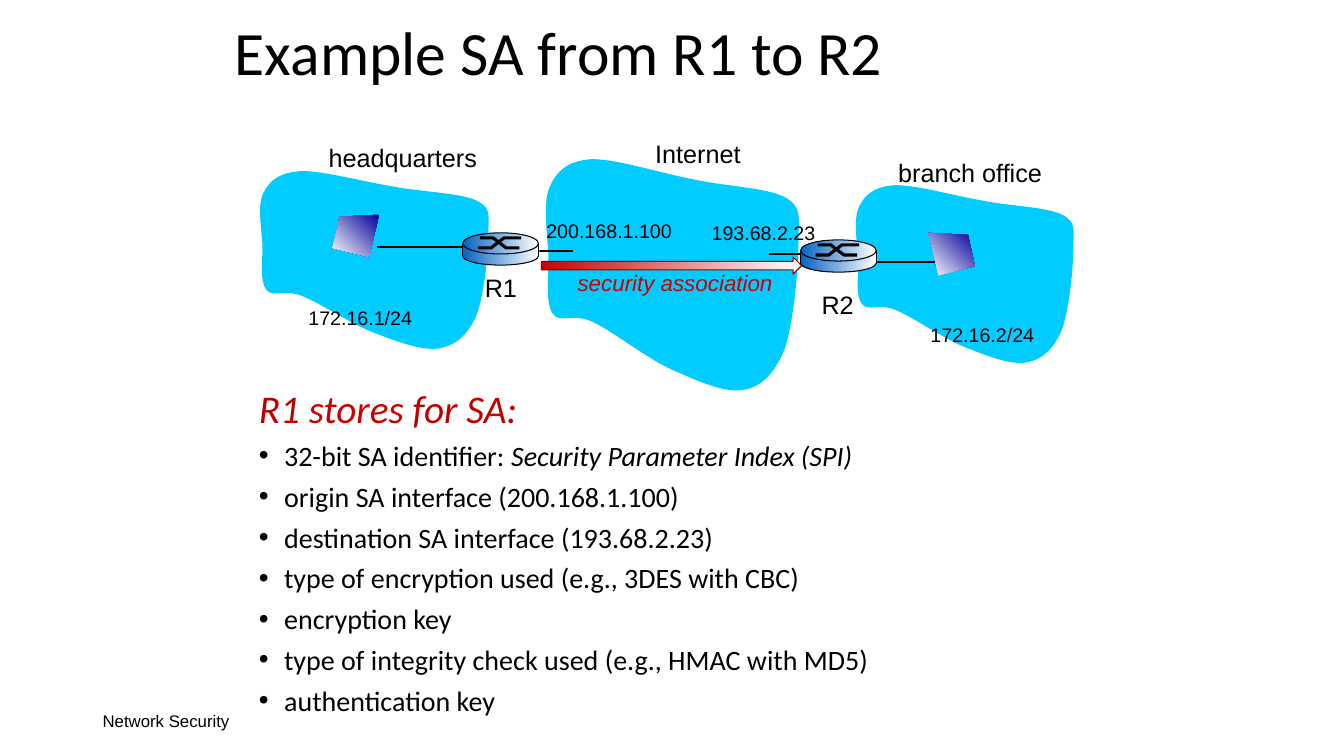
"""Build the slide on the security association between routers R1 and R2."""
from lxml import etree
from pptx import Presentation
from pptx.dml.color import RGBColor
from pptx.enum import shapes, text
from pptx.oxml import ns
from pptx.util import Inches, Pt

BLACK = RGBColor(0, 0, 0)
WHITE = RGBColor(255, 255, 255)
CRIMSON = RGBColor(0xC0, 0, 0)
RED = RGBColor(0xCC, 0, 0)
MAROON = RGBColor(0x80, 0, 0)
SKY = RGBColor(0, 0xCC, 0xFF)
NAVY = RGBColor(0, 0, 0x99)
BLUE = RGBColor(0x05, 0x63, 0xC1)

TITLE = "Example SA from R1 to R2"
FOOTER = "Network Security"
HEADING = [("R1 ", CRIMSON, True), ("stores ", RED, True), ("for SA:", CRIMSON, True)]
STORED = [
    [("32-bit SA identifier: ", BLACK, False), ("Security Parameter Index (SPI)", BLACK, True)],
    [("origin SA interface (200.168.1.100)", BLACK, False)],
    [("destination SA interface (193.68.2.23)", BLACK, False)],
    [("type of encryption used (e.g., 3DES with CBC)", BLACK, False)],
    [("encryption key", BLACK, False)],
    [("type of integrity check used (e.g., HMAC with MD5)", BLACK, False)],
    [("authentication key", BLACK, False)],
]
LABELS = [
    ("193.68.2.23", 14, (6.96, 2.14, 1.26, 0.33)),
    ("200.168.1.100", 14, (5.32, 2.12, 1.46, 0.34)),
    ("172.16.1/24", 14, (2.96, 2.99, 1.25, 0.33)),
    ("172.16.2/24", 14, (9.13, 3.15, 1.28, 0.33)),
    ("Internet", 18, (6.4, 1.32, 1.05, 0.4)),
    ("headquarters", 18, (3.16, 1.36, 1.72, 0.4)),
    ("branch office", 18, (8.81, 1.51, 1.67, 0.4)),
    ("R1", 18, (4.71, 2.65, 0.52, 0.4)),
    ("R2", 18, (8.05, 2.82, 0.52, 0.4)),
]
CLOUDS = [(8.46, 1.83, 2.22, 1.79), (2.55, 1.69, 2.33, 1.79), (5.38, 1.57, 2.58, 2.33)]
CLOUD_SIZE = (2.58, 2.33)
CLOUD_KNOTS = [
    (0.48, 0.01),
    (0.24, 0.03), (0.14, 0.13), (0.07, 0.29),
    (0, 0.45), (0.05, 0.76), (0.06, 0.97),
    (0.06, 1.18), (0.03, 1.43), (0.1, 1.54),
    (0.18, 1.65), (0.29, 1.53), (0.49, 1.62),
    (0.69, 1.71), (1.04, 1.99), (1.29, 2.1),
    (1.54, 2.21), (1.8, 2.33), (1.99, 2.3),
    (2.17, 2.27), (2.3, 2.14), (2.4, 1.9),
    (2.49, 1.65), (2.54, 1.08), (2.54, 0.83),
    (2.54, 0.58), (2.58, 0.49), (2.41, 0.39),
    (2.23, 0.29), (1.81, 0.28), (1.5, 0.21),
    (1.18, 0.15), (0.71, 0), (0.48, 0.01),
]
LINKS = [(3.74, 2.45, 4.62, 2.45), (8.64, 2.6, 9.39, 2.6),
         (5.26, 2.49, 5.68, 2.49), (7.95, 2.52, 7.63, 2.52)]
HOST_WIDTH = 0.47
HOST_OUTLINE = [(0.46, 0), (0.07, 0.02), (0, 0.33), (0.36, 0.42)]
HOSTS = [(3.3, 2.13, False), (9.2, 2.31, True)]
ROUTERS = [(7.94, 2.38), (4.59, 2.31)]
ROUTER_BODY = [
    ("OVAL", (0, 0.14, 0.75, 0.18), BLACK),
    ("RECTANGLE", (0, 0.12, 0.76, 0.11), None),
    ("OVAL", (0, 0, 0.75, 0.21), BLACK),
]
ROUTER_CROSSING = [
    [(0.15, 0.15), (0.28, 0.15), (0.41, 0.05), (0.58, 0.05)],
    [(0.17, 0.05), (0.3, 0.05), (0.43, 0.15), (0.56, 0.15)],
]


def inches(*lengths):
    return [Inches(length) for length in lengths]


def add_text(slide, box, words, size, color=BLACK, italic=False, wrap=False):
    frame = slide.shapes.add_textbox(*inches(*box)).text_frame
    frame.word_wrap = wrap
    frame.auto_size = text.MSO_AUTO_SIZE.SHAPE_TO_FIT_TEXT
    frame.text = words
    font = frame.paragraphs[0].runs[0].font
    font.name, font.size, font.italic = "Arial", Pt(size), italic
    font.color.rgb = color
    return frame


def paint(shape, fill=None, fade_angle=None, outline=None, weight=0.75):
    shape.shadow.inherit = False
    if fill is None:
        shape.fill.background()
    elif fade_angle is None:
        shape.fill.solid()
        shape.fill.fore_color.rgb = fill
    else:
        shape.fill.gradient()
        shape.fill.gradient_angle = fade_angle
        for stop, color in zip(shape.fill.gradient_stops, (fill, WHITE)):
            stop.color.rgb = color
    if outline is None:
        shape.line.fill.background()
    else:
        shape.line.color.rgb = outline
        shape.line.width = Pt(weight)


def add_outline(slide, points, close=True):
    corners = [inches(*point) for point in points]
    builder = slide.shapes.build_freeform(*corners[0])
    builder.add_line_segments(corners[1:], close=close)
    return builder.convert_to_shape()


def add_line(slide, ends, weight):
    line = slide.shapes.add_connector(shapes.MSO_CONNECTOR.STRAIGHT, *inches(*ends))
    line.line.color.rgb = BLACK
    line.line.width = Pt(weight)
    etree.SubElement(line._element.spPr, ns.qn("a:effectLst"))


def add_cloud(slide, left, top, width, height):
    knots = [(left + x * width / CLOUD_SIZE[0], top + y * height / CLOUD_SIZE[1])
             for x, y in CLOUD_KNOTS]
    cloud = add_outline(slide, knots)
    segments = list(cloud._element.iter(ns.qn("a:lnTo")))[:len(knots) - 1]
    for first in range(0, len(segments), 3):
        curve = etree.Element(ns.qn("a:cubicBezTo"))
        segments[first].addprevious(curve)
        for segment in segments[first:first + 3]:
            curve.append(segment[0])
            segment.getparent().remove(segment)
    paint(cloud, SKY)


def add_router(slide, left, top):
    for kind, (x, y, width, height), outline in ROUTER_BODY:
        part = slide.shapes.add_shape(shapes.MSO_SHAPE[kind],
                                      *inches(left + x, top + y, width, height))
        paint(part, BLUE, 0, outline)
    for stroke in ROUTER_CROSSING:
        crossing = add_outline(slide, [(left + x, top + y) for x, y in stroke], close=False)
        paint(crossing, outline=BLACK, weight=2.25)
    for x in (left, left + 0.75):
        add_line(slide, (x, top + 0.1, x, top + 0.23), 0.75)


def add_stored_list(slide):
    frame = slide.shapes.add_textbox(*inches(2.47, 3.85, 8.93, 3.46)).text_frame
    frame.word_wrap = True
    for index, pieces in enumerate([HEADING] + STORED):
        paragraph = frame.add_paragraph() if index else frame.paragraphs[0]
        if index:
            props = paragraph._p.get_or_add_pPr()
            props.set("marL", str(Inches(0.25)))
            props.set("indent", str(-Inches(0.25)))
            etree.SubElement(props, ns.qn("a:buFont")).set("typeface", "Arial")
            etree.SubElement(props, ns.qn("a:buChar")).set("char", "•")
            paragraph.space_before = Pt(10)
        paragraph.line_spacing = 0.8
        for words, color, italic in pieces:
            run = paragraph.add_run()
            run.text = words
            run.font.name, run.font.italic = "Calibri", italic
            run.font.size = Pt(20 if index else 28)
            run.font.color.rgb = color


def main():
    deck = Presentation()
    deck.slide_width, deck.slide_height = inches(13.33, 7.5)
    slide = deck.slides.add_slide(deck.slide_layouts[5])

    title = slide.shapes.title
    title.left, title.top, title.width, title.height = inches(2.23, -0.07, 8.5, 1.25)
    title.text_frame.text = TITLE
    title.text_frame.vertical_anchor = text.MSO_ANCHOR.MIDDLE
    heading = title.text_frame.paragraphs[0]
    heading.alignment = text.PP_ALIGN.LEFT
    heading.line_spacing = 0.9
    font = heading.runs[0].font
    font.name, font.size = "Calibri", Pt(44)
    font.color.rgb = BLACK

    footer = add_text(slide, (0.92, 6.95, 3, 0.4), FOOTER, 12, wrap=True)
    footer.auto_size = text.MSO_AUTO_SIZE.NONE
    footer.vertical_anchor = text.MSO_ANCHOR.MIDDLE
    add_stored_list(slide)

    for cloud in CLOUDS:
        add_cloud(slide, *cloud)
    for link in LINKS:
        add_line(slide, link, 2)
    for words, size, box in LABELS:
        add_text(slide, box, words, size)
    add_text(slide, (5.63, 2.62, 2.49, 0.37), "security association", 16, RED, True, True)
    for left, top, mirrored in HOSTS:
        corners = [(left + (HOST_WIDTH - x if mirrored else x), top + y) for x, y in HOST_OUTLINE]
        paint(add_outline(slide, corners), NAVY, 225)
    for router in ROUTERS:
        add_router(slide, *router)
    association = slide.shapes.add_shape(shapes.MSO_SHAPE.RIGHT_ARROW,
                                         *inches(5.37, 2.55, 2.58, 0.17))
    paint(association, RED, 0, MAROON)
    deck.save("out.pptx")


if __name__ == "__main__":
    main()
